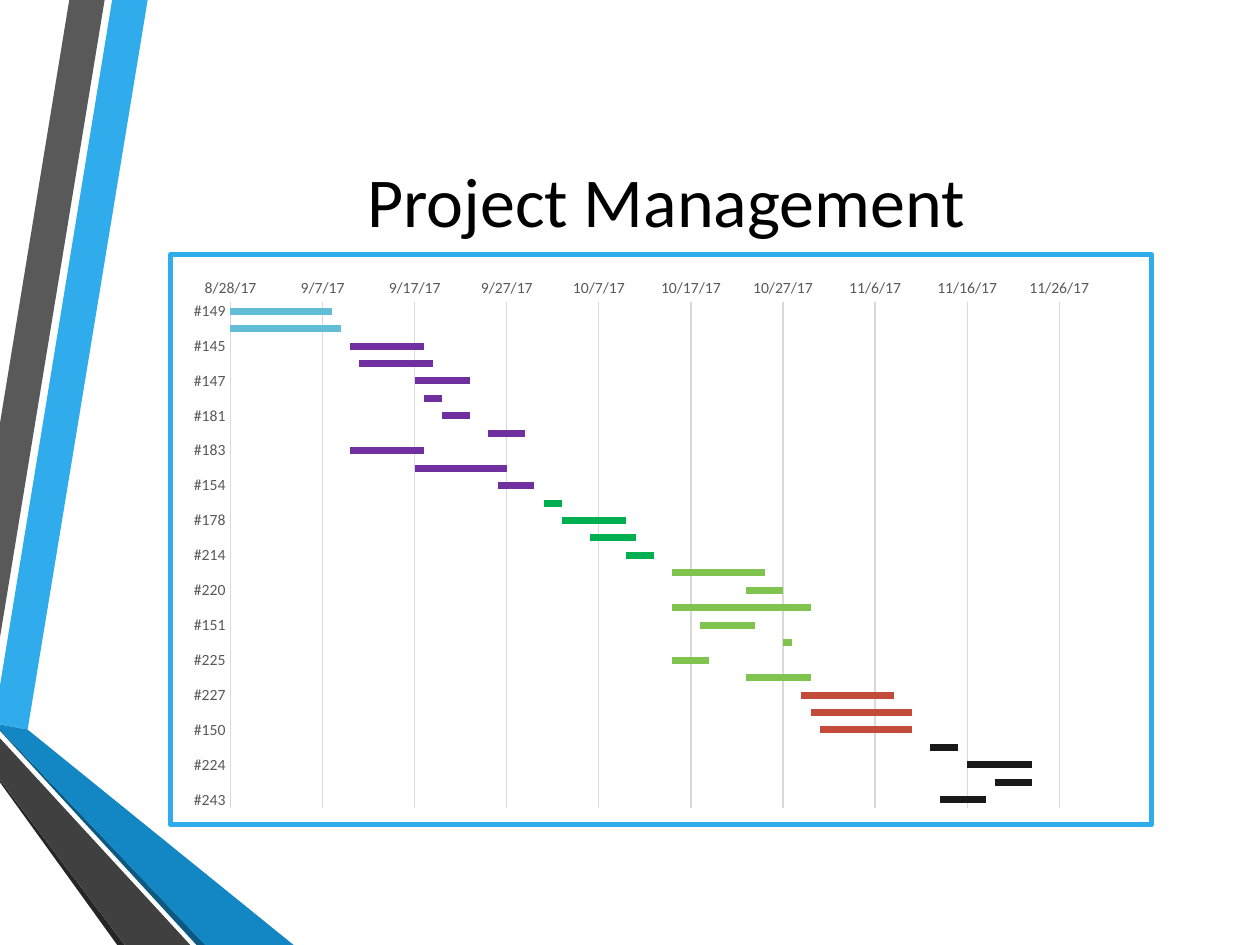
import lxml.etree
import pptx
import pptx.chart.data
import pptx.dml.color
import pptx.enum.chart
import pptx.enum.dml
import pptx.enum.text
import pptx.oxml
import pptx.oxml.ns
import pptx.util

Pt = pptx.util.Pt
FONT = "Calibri"
TITLE = "Project Management"
COLORS = {
    "sky": "30ACEC", "blue": "1287C3", "navy": "0C5A82",
    "gray": "595959", "dark": "404040", "charcoal": "262626",
    "text": "000000", "labels": "595959", "grid": "D9D9D9", "white": "FFFFFF",
    "aqua": "62BED6", "purple": "7030A0", "green": "00B050",
    "lime": "80C34F", "red": "C24B39", "black": "191919", "orange": "E29D3E",
}

# Ribbons along the left edge: colour and outline in points
RIBBONS = [
    ("sky", [(0, 391.7), (0, 414), (15.8, 416.9), (84.4, 0), (64.1, 0)]),
    ("gray", [(59.8, 0), (39.6, 0), (0, 241.9), (0, 364.3)]),
    ("charcoal", [(0, 445.7), (0, 447.1), (67, 540), (71.3, 540)]),
    ("navy", [(0, 416.9), (0, 417.6), (112.3, 540), (117.4, 540)]),
    ("blue", [(0, 416.9), (117.4, 540), (167.8, 540), (15.8, 416.9), (0, 414)]),
    ("dark", [(0, 445.7), (71.3, 540), (108.7, 540), (0, 421.9)]),
]

# Day numbers count as in a spreadsheet: 42975 is 8/28/17
FIRST_DAY, LAST_DAY, DAY_STEP = 42975, 43070, 10

# Phases: colour, then tasks as (label, days after the first day, duration)
PHASES = [
    ("aqua", [("#149", 0, 11), ("#148", 0, 12)]),
    ("purple", [("#145", 13, 8), ("#146", 14, 8), ("#147", 20, 6),
                ("#158", 21, 2), ("#181", 23, 3), ("#182", 28, 4),
                ("#183", 13, 8), ("#176", 20, 10), ("#154", 29, 4)]),
    ("green", [("#155", 34, 2), ("#178", 36, 7), ("#179", 39, 5), ("#214", 43, 3)]),
    ("lime", [("#184", 48, 10), ("#220", 56, 4), ("#132", 48, 15), ("#151", 51, 6),
              ("#185", 60, 1), ("#225", 48, 4), ("#222", 56, 7)]),
    ("red", [("#227", 62, 10), ("#228", 63, 11), ("#150", 64, 10)]),
    ("black", [("#157", 76, 3), ("#224", 80, 7), ("#223", 83, 4), ("#243", 77, 5)]),
]
PLOT_LAYOUT = {"x": 0.061, "y": 0.084, "w": 0.892, "h": 0.888}


def rgb(name):
    return pptx.dml.color.RGBColor.from_string(COLORS[name])


def paint(fill, name):
    fill.solid()
    fill.fore_color.rgb = rgb(name)


def style_font(font, size, color):
    font.name, font.size = FONT, Pt(size)
    font.color.rgb = rgb(color)


def style_line(line, color, width):
    line.color.rgb = rgb(color)
    line.width = Pt(width)


def add_ribbon(slide, color, points):
    corners = [(Pt(x), Pt(y)) for x, y in points]
    builder = slide.shapes.build_freeform(*corners[0])
    builder.add_line_segments(corners[1:], close=True)
    shape = builder.convert_to_shape()
    shape.shadow.inherit = False
    paint(shape.fill, color)
    shape.line.fill.background()


def add_title(slide):
    box = slide.shapes.add_textbox(Pt(77.2), Pt(36), Pt(607), Pt(156))
    frame = box.text_frame
    frame.word_wrap = True
    frame.vertical_anchor = pptx.enum.text.MSO_ANCHOR.MIDDLE
    paragraph = frame.paragraphs[0]
    paragraph.text = TITLE
    paragraph.alignment = pptx.enum.text.PP_ALIGN.CENTER
    style_font(paragraph.font, 40, "text")


def set_frame_and_layout(chart):
    """Give the chart area its fill and border, and fix the inner plot area."""
    namespaces = pptx.oxml.ns.nsdecls("c", "a")
    chart_element = chart.element.find(pptx.oxml.ns.qn("c:chart"))
    chart_element.addnext(pptx.oxml.parse_xml(
        f'<c:spPr {namespaces}>'
        f'<a:solidFill><a:srgbClr val="{COLORS["white"]}"/></a:solidFill>'
        f'<a:ln w="{Pt(3)}"><a:solidFill><a:srgbClr val="{COLORS["sky"]}"/></a:solidFill>'
        '<a:round/></a:ln></c:spPr>'))
    plot_area = chart_element.find(pptx.oxml.ns.qn("c:plotArea"))
    for layout in plot_area.findall(pptx.oxml.ns.qn("c:layout")):
        plot_area.remove(layout)
    modes = '<c:xMode val="edge"/><c:yMode val="edge"/>'
    values = "".join(f'<c:{key} val="{value}"/>' for key, value in PLOT_LAYOUT.items())
    plot_area.insert(0, pptx.oxml.parse_xml(
        f'<c:layout {namespaces}><c:manualLayout><c:layoutTarget val="inner"/>'
        f'{modes}{values}</c:manualLayout></c:layout>'))


def style_axes(chart):
    task_axis, date_axis = chart.category_axis, chart.value_axis
    for axis in (task_axis, date_axis):
        axis.major_tick_mark = pptx.enum.chart.XL_TICK_MARK.NONE
        axis.minor_tick_mark = pptx.enum.chart.XL_TICK_MARK.NONE
        style_font(axis.tick_labels.font, 9, "labels")
    task_axis.reverse_order = True
    task_axis.has_major_gridlines = False
    style_line(task_axis.format.line, "grid", 0.75)
    label_skip = lxml.etree.Element(pptx.oxml.ns.qn("c:tickLblSkip"), val="2")
    task_axis._element.find(pptx.oxml.ns.qn("c:noMultiLvlLbl")).addprevious(label_skip)

    date_axis.minimum_scale, date_axis.maximum_scale = FIRST_DAY, LAST_DAY
    date_axis.major_unit = DAY_STEP
    date_axis.tick_labels.number_format = "m/d/yy"
    date_axis.tick_labels.number_format_is_linked = False
    date_axis.format.line.fill.background()
    date_axis.has_major_gridlines = True
    style_line(date_axis.major_gridlines.format.line, "grid", 0.75)


def add_gantt(slide):
    tasks = [(color, *task) for color, phase in PHASES for task in phase]
    data = pptx.chart.data.CategoryChartData()
    data.categories = [label for _, label, _, _ in tasks]
    data.add_series("Series 1", [FIRST_DAY + offset for _, _, offset, _ in tasks])
    data.add_series("Series 2", [duration for _, _, _, duration in tasks])
    chart = slide.shapes.add_chart(
        pptx.enum.chart.XL_CHART_TYPE.BAR_STACKED,
        Pt(96), Pt(144), Pt(563.5), Pt(328.7), data).chart
    chart.has_legend = False
    chart.has_title = False
    style_font(chart.font, 10, "text")

    plot = chart.plots[0]
    plot.gap_width, plot.overlap = 150, 100
    plot.vary_by_categories = False
    starts, durations = plot.series
    starts.format.fill.background()
    starts.format.line.fill.background()
    paint(durations.format.fill, "orange")
    for index, task in enumerate(tasks):
        paint(durations.points[index].format.fill, task[0])
    style_axes(chart)
    set_frame_and_layout(chart)


def main():
    presentation = pptx.Presentation()
    presentation.slide_width, presentation.slide_height = Pt(720), Pt(540)
    slide = presentation.slides.add_slide(presentation.slide_layouts[6])
    for color, points in RIBBONS:
        add_ribbon(slide, color, points)
    add_title(slide)
    add_gantt(slide)
    presentation.save("out.pptx")


if __name__ == "__main__":
    main()
